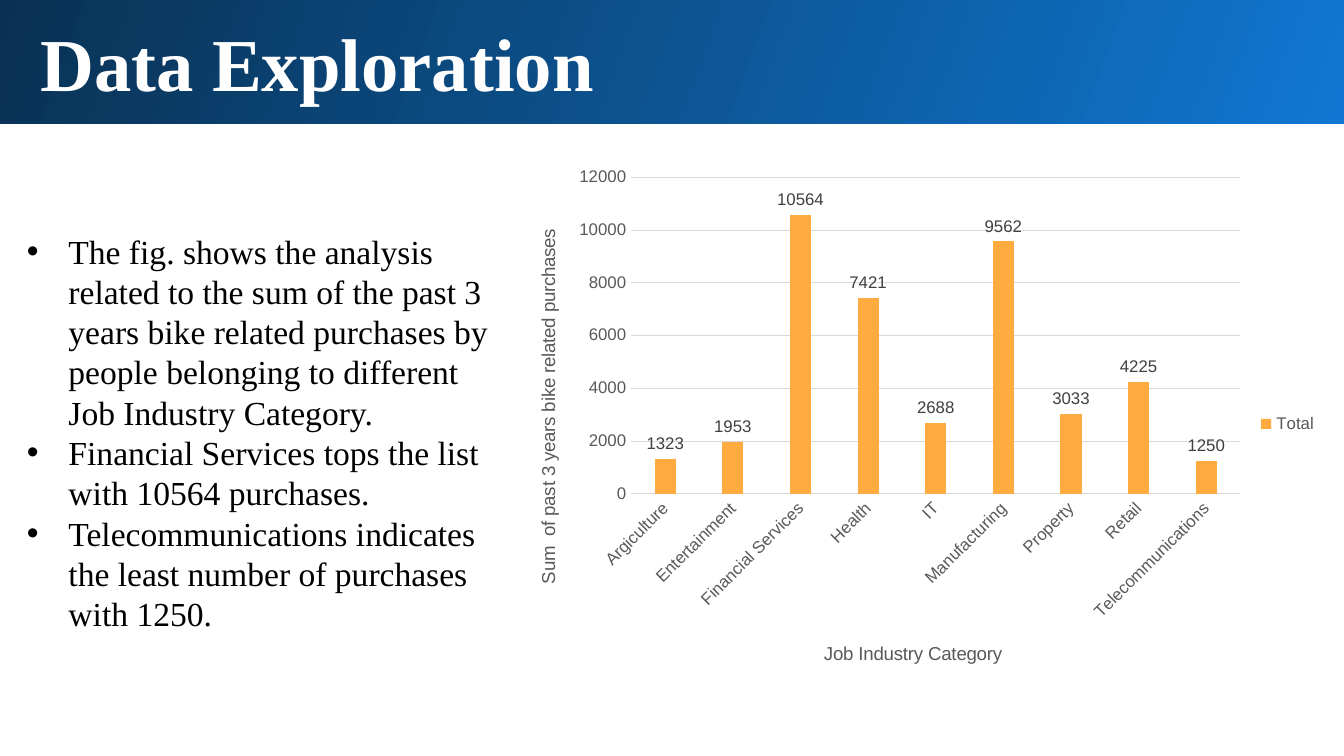
from lxml import etree
from pptx import Presentation
from pptx.chart.data import CategoryChartData
from pptx.dml.color import RGBColor
from pptx.enum.chart import XL_CHART_TYPE as Kind, XL_LABEL_POSITION as Spot
from pptx.enum.chart import XL_LEGEND_POSITION as Side, XL_TICK_MARK as Tick
from pptx.enum.shapes import MSO_SHAPE as Shape
from pptx.enum.text import MSO_ANCHOR as Anchor, PP_ALIGN as Align
from pptx.oxml.ns import qn
from pptx.util import Inches, Pt

SERIF = "Times New Roman"
GREY = "595959"
RULE = "D9D9D9"


def rgb(code):
    return RGBColor.from_string(code)


def write(par, text, size=18, color="000000", name=SERIF, bold=False):
    run = par.add_run()
    run.text = text
    font = run.font
    font.size, font.name, font.bold = Pt(size), name, bold
    font.color.rgb = rgb(color)


prs = Presentation()
prs.slide_width = Inches(10)
prs.slide_height = Inches(10) * 9 // 16
slide = prs.slides.add_slide(prs.slide_layouts[5])

# Title banner
title = slide.shapes.title
title.left, title.top = Inches(-0.03), Inches(0)
title.width, title.height = Inches(10.05), Inches(0.92)
title.fill.gradient()
title.fill.gradient_angle = 160
for stop, code in zip(title.fill.gradient_stops, ["1077D2", "093153"]):
    stop.color.rgb = rgb(code)
frame = title.text_frame
frame.vertical_anchor = Anchor.MIDDLE
frame.margin_left = Inches(0.33)
frame.paragraphs[0].alignment = Align.LEFT
write(frame.paragraphs[0], "Data Exploration", size=40, color="FFFFFF", bold=True)

# Purchases chart
sales = {
    "Argiculture": 1323, "Entertainment": 1953, "Financial Services": 10564,
    "Health": 7421, "IT": 2688, "Manufacturing": 9562,
    "Property": 3033, "Retail": 4225, "Telecommunications": 1250,
}
data = CategoryChartData()
data.categories = list(sales)
data.add_series("Total", list(sales.values()))
chart = slide.shapes.add_chart(
    Kind.COLUMN_CLUSTERED, Inches(3.78), Inches(1.16), Inches(6.12), Inches(3.99), data
).chart
chart.has_title = False
chart.has_legend = True
chart.legend.position = Side.RIGHT
chart.legend.include_in_layout = False

plot = chart.plots[0]
plot.gap_width = 219
plot.vary_by_categories = False
bars = plot.series[0].format.fill
bars.solid()
bars.fore_color.rgb = rgb("FFAB40")
plot.has_data_labels = True
labels = plot.data_labels
labels.show_value = True
labels.position = Spot.OUTSIDE_END

cat, val = chart.category_axis, chart.value_axis
val.minimum_scale, val.maximum_scale, val.major_unit = 0, 12000, 2000
for axis, text in [
    (cat, "Job Industry Category"),
    (val, "Sum  of past 3 years bike related purchases"),
]:
    axis.major_tick_mark = axis.minor_tick_mark = Tick.NONE
    par = axis.axis_title.text_frame.paragraphs[0]
    write(par, text, size=10, color=GREY, name="Arial")

for font, code in [
    (cat.tick_labels.font, GREY), (val.tick_labels.font, GREY),
    (chart.legend.font, GREY), (labels.font, "404040"),
]:
    font.size, font.name, font.bold = Pt(9), "Arial", False
    font.color.rgb = rgb(code)

val.format.line.fill.background()
for line, width in [(cat.format.line, 0.75), (val.major_gridlines.format.line, 0.25)]:
    line.color.rgb = rgb(RULE)
    line.width = Pt(width)

# Slanted category names and fixed places inside the chart
root = chart._chartSpace
root.xpath(".//c:catAx/c:txPr/a:bodyPr")[0].set("rot", "-2700000")
root.xpath(".//c:valAx/c:title//a:bodyPr")[0].set("rot", "-5400000")
for where, spot in [
    ("plotArea", {"x": 0.15, "y": 0.04, "w": 0.74, "h": 0.59}),
    ("catAx/c:title", {"x": 0.38, "y": 0.9}),
    ("valAx/c:title", {"x": 0.03, "y": 0.13}),
]:
    node = root.xpath(f".//c:{where}")[0]
    for old in node.findall(qn("c:layout")):
        node.remove(old)
    layout = etree.Element(qn("c:layout"))
    node.insert(0 if where == "plotArea" else 1, layout)
    manual = etree.SubElement(layout, qn("c:manualLayout"))
    if "w" in spot:
        etree.SubElement(manual, qn("c:layoutTarget")).set("val", "inner")
    for key in "xy":
        etree.SubElement(manual, qn(f"c:{key}Mode")).set("val", "edge")
    for key, part in spot.items():
        etree.SubElement(manual, qn(f"c:{key}")).set("val", str(part))

# Findings
box = slide.shapes.add_shape(
    Shape.RECTANGLE, Inches(0.15), Inches(1.65), Inches(3.63), Inches(3.13)
)
box.shadow.inherit = False
box.fill.solid()
box.fill.fore_color.rgb = rgb("FFFFFF")
box.line.color.rgb = rgb("FFFFFF")
box.line.width = Pt(2)
frame = box.text_frame
frame.word_wrap = True
frame.vertical_anchor = Anchor.MIDDLE
frame.margin_left = frame.margin_right = Inches(0.05)
frame.margin_top = frame.margin_bottom = Inches(0.05)
facts = [
    "The fig. shows the analysis related to the sum of the past 3 years bike "
    "related purchases by people belonging to different Job Industry Category.",
    "Financial Services tops the list with 10564 purchases.",
    "Telecommunications indicates the least number of purchases with 1250.",
]
for i, fact in enumerate(facts):
    par = frame.add_paragraph() if i else frame.paragraphs[0]
    par.alignment = Align.LEFT
    par.line_spacing = Pt(21.6)
    write(par, fact)
    props = par._p.get_or_add_pPr()
    props.set("marL", str(Inches(0.31)))
    props.set("indent", str(Inches(-0.31)))
    etree.SubElement(props, qn("a:buFont")).set("typeface", "Arial")
    etree.SubElement(props, qn("a:buChar")).set("char", "•")

prs.save("out.pptx")
